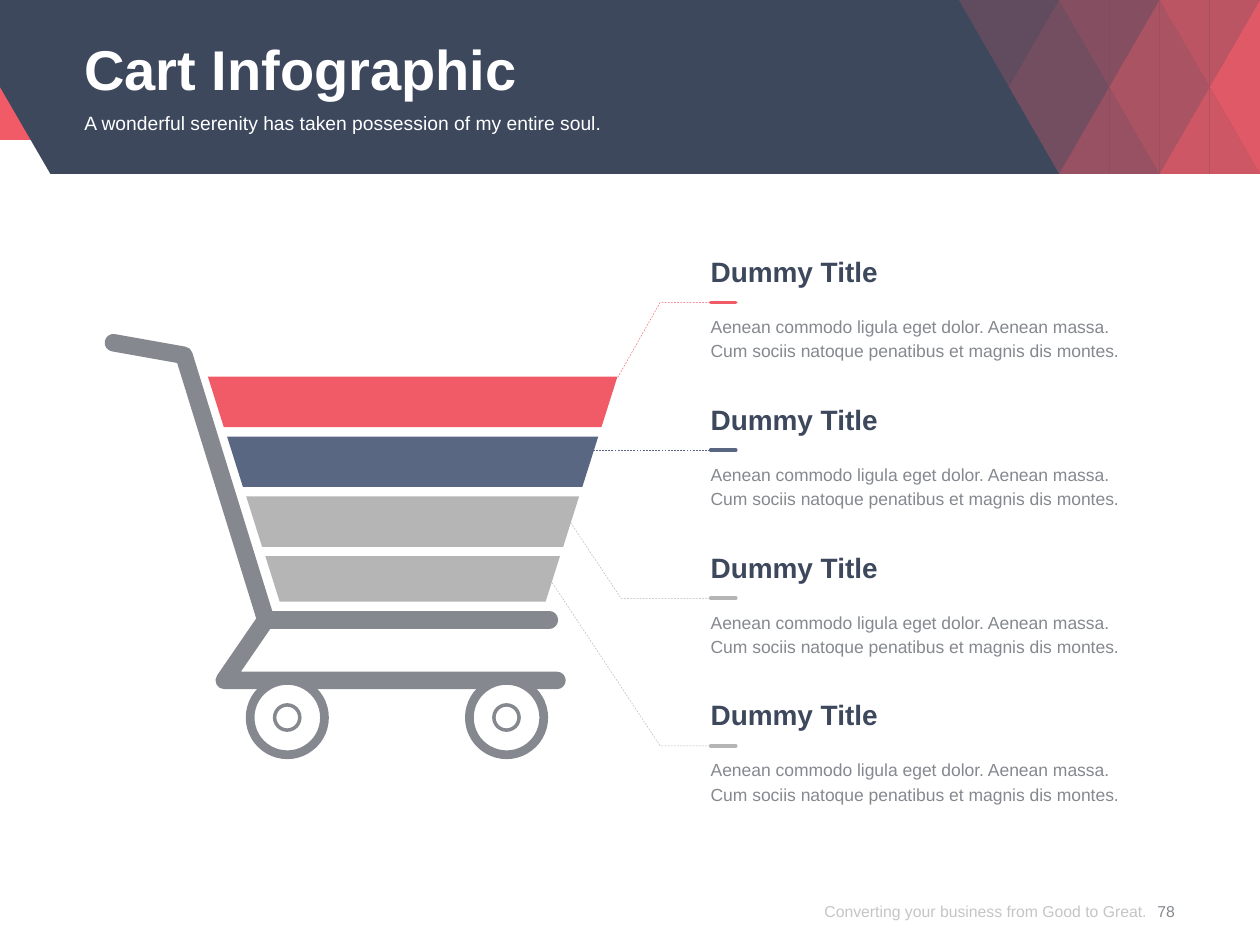
from dataclasses import dataclass
from lxml.etree import SubElement
from pptx import Presentation
from pptx.dml.color import RGBColor
from pptx.enum.dml import MSO_LINE
from pptx.enum.shapes import MSO_CONNECTOR, MSO_SHAPE
from pptx.enum.text import MSO_ANCHOR, PP_ALIGN
from pptx.oxml.ns import qn
from pptx.util import Inches, Pt


@dataclass(frozen=True)
class Theme:
    font: str = "Arial"
    red: str = "F15B67"
    navy: str = "3D485D"
    blue: str = "5A6783"
    silver: str = "B5B5B5"
    gray: str = "85898F"
    footer: str = "8C8C8C"
    white: str = "FFFFFF"
    title: int = 32
    heading: int = 16
    subtitle: int = 11
    body: int = 10
    small: int = 9


@dataclass(frozen=True)
class Box:
    left: float
    top: float
    width: float
    height: float

    def inner(self, left, top, width, height):
        return Box(self.left + left, self.top + top, width, height)

    def point(self, x, y):
        return self.left + x, self.top + y

    def lengths(self):
        return [Inches(v) for v in (self.left, self.top, self.width, self.height)]


THEME = Theme()


def set_alpha(fill_parent, percent):
    color = next(fill_parent.iter(qn("a:srgbClr")))
    SubElement(color, qn("a:alpha")).set("val", str(percent * 1000))


def paint(shape, fill=None, line=None, width=1):
    shape.shadow.inherit = False
    if fill:
        shape.fill.solid()
        shape.fill.fore_color.rgb = RGBColor.from_string(fill)
    else:
        shape.fill.background()
    if line:
        shape.line.color.rgb = RGBColor.from_string(line)
        shape.line.width = Pt(width)
    else:
        shape.line.fill.background()


def add_path(page, points, close=True, **style):
    corners = [(Inches(x), Inches(y)) for x, y in points]
    builder = page.shapes.build_freeform(*corners[0], scale=1.0)
    builder.add_line_segments(corners[1:], close=close)
    shape = builder.convert_to_shape()
    paint(shape, **style)
    return shape


def round_line(shape):
    line = shape.line._get_or_add_ln()
    line.set("cap", "rnd")
    SubElement(line, qn("a:round"))


def add_rule(page, start, end, color, width):
    rule = page.shapes.add_connector(
        MSO_CONNECTOR.STRAIGHT, *[Inches(v) for v in (*start, *end)])
    rule.line.color.rgb = RGBColor.from_string(color)
    rule.line.width = Pt(width)
    SubElement(rule._element.spPr, qn("a:effectLst"))
    return rule


def add_text(page, box, lines, size, color, bold=False, spacing=None,
             align=PP_ALIGN.LEFT, anchor=MSO_ANCHOR.TOP):
    label = page.shapes.add_textbox(*box.lengths())
    frame = label.text_frame
    frame.word_wrap = True
    frame.vertical_anchor = anchor
    frame.margin_left = frame.margin_right = frame.margin_top = frame.margin_bottom = 0
    frame.text = "\n".join(lines)
    for para in frame.paragraphs:
        para.alignment = align
        if spacing:
            para.line_spacing = Pt(spacing)
        for span in para.runs:
            span.font.name = THEME.font
            span.font.size = Pt(size)
            span.font.bold = bold
            span.font.color.rgb = RGBColor.from_string(color)
    return label


def add_triangles(page, box):
    step, row_height = box.width / 6, box.height / 2
    triangles = [
        (1, 0, "down", 20), (2, 0, "up", 30), (3, 0, "down", 40),
        (4, 0, "up", 60), (5, 0, "down", 70), (6, 0, "up", 90),
        (2, 1, "down", 30), (3, 1, "up", 50), (4, 1, "down", 60),
        (5, 1, "up", 80), (6, 1, "down", 90),
    ]
    for column, row, direction, opacity in triangles:
        top, bottom = row * row_height, (row + 1) * row_height
        apex, base = (top, bottom) if direction == "up" else (bottom, top)
        for side in (-1, 1) if column < 6 else (-1,):
            corners = [(column, apex), (column, base), (column + side, base)]
            half = add_path(page, [box.point(c * step, y) for c, y in corners],
                            fill=THEME.red)
            set_alpha(half._element.spPr, opacity)


def add_header(page, box):
    band = page.shapes.add_shape(
        MSO_SHAPE.RECTANGLE, *box.inner(0, 0, box.width, 1.11).lengths())
    paint(band, fill=THEME.red)
    outline = [(0, 0), (box.width, 0), (box.width, box.height),
               (0.4, box.height), (0, box.height / 2)]
    add_path(page, [box.point(*p) for p in outline], fill=THEME.navy)
    add_triangles(page, box.inner(7.61, 0, 2.39, box.height))
    add_text(page, box.inner(0.67, 0.19, 8.66, 0.65), ["Cart Infographic"],
             THEME.title, THEME.white, bold=True, spacing=42, anchor=MSO_ANCHOR.MIDDLE)
    add_text(page, box.inner(0.67, 0.88, 8.66, 0.39),
             ["A wonderful serenity has taken possession of my entire soul."],
             THEME.subtitle, THEME.white)


def add_footer(page, box):
    slogan = add_text(page, box.inner(0, 0, 3.06, box.height),
                      ["Converting your business from Good to Great."],
                      THEME.small, THEME.footer, align=PP_ALIGN.RIGHT,
                      anchor=MSO_ANCHOR.MIDDLE)
    set_alpha(slogan._element.txBody, 50)
    add_text(page, box.inner(2.98, 0, 0.47, box.height), ["78"], THEME.small,
             THEME.gray, align=PP_ALIGN.CENTER, anchor=MSO_ANCHOR.MIDDLE)


def add_circle(page, center, radius, **style):
    x, y = center
    circle = page.shapes.add_shape(
        MSO_SHAPE.OVAL, *Box(x - radius, y - radius, 2 * radius, 2 * radius).lengths())
    paint(circle, **style)


def add_cart(page, box, colors):
    for index, color in enumerate(colors):
        height = 0.36 if index == len(colors) - 1 else 0.4
        top, inset = 0.34 + 0.475 * index, 0.152 * index
        left, right, slant = 0.83 + inset, 4.08 - inset, 0.315 * height
        layer = [(left, top), (right, top), (right - slant, top + height),
                 (left + slant, top + height)]
        add_path(page, [box.point(*p) for p in layer], fill=color)
    joint = (1.29, 2.27)
    frame = [(0.08, 0.07), (0.64, 0.17), joint, (0.96, 2.75), (3.6, 2.75)]
    for route in (frame, [joint, (3.54, 2.27)]):
        bar = add_path(page, [box.point(*p) for p in route], close=False,
                       line=THEME.gray, width=10)
        round_line(bar)
    for x in (1.46, 3.2):
        center = box.point(x, 3.045)
        add_circle(page, center, 0.295, fill=THEME.white, line=THEME.gray, width=5)
        add_circle(page, center, 0.1, fill=THEME.white, line=THEME.gray, width=2)


def add_leader(page, points, color):
    if len(points) == 2:
        leader = add_rule(page, *points, color, 0.25)
    else:
        leader = add_path(page, points, close=False, line=color, width=0.25)
    leader.line.dash_style = MSO_LINE.DASH


def add_item(page, box, color):
    add_text(page, box.inner(0, 0.46, box.width, 0.39),
             ["Aenean commodo ligula eget dolor. Aenean massa.",
              "Cum sociis natoque penatibus et magnis dis montes."],
             THEME.body, THEME.gray, spacing=14)
    accent = add_rule(page, box.point(0, 0.38), box.point(0.2, 0.38), color, 2)
    round_line(accent)
    add_text(page, box.inner(0, 0, box.width, 0.27), ["Dummy Title"],
             THEME.heading, THEME.navy, bold=True)


def main():
    deck = Presentation()
    deck.slide_width, deck.slide_height = Inches(10), Inches(7.5)
    page = deck.slides.add_slide(deck.slide_layouts[6])
    add_header(page, Box(0, 0, 10, 1.38))
    add_footer(page, Box(6.04, 6.96, 3.45, 0.54))

    colors = [THEME.red, THEME.blue, THEME.silver, THEME.silver]
    bends = [[(5.24, 2.4), (4.9, 3)], [(4.71, 3.57)],
             [(4.93, 4.75), (4.53, 4.15)], [(5.24, 5.92), (4.38, 4.62)]]
    items = [Box(5.64, 2.02 + 1.173 * index, 3.69, 0.85) for index in range(4)]
    for item, bend, color in zip(items, bends, colors):
        add_leader(page, [(5.81, bend[0][1]), *bend], color)
    add_cart(page, Box(0.82, 2.65, 3.67, 3.37), colors)
    for item, color in zip(items, colors):
        add_item(page, item, color)
    deck.save("out.pptx")


if __name__ == "__main__":
    main()
